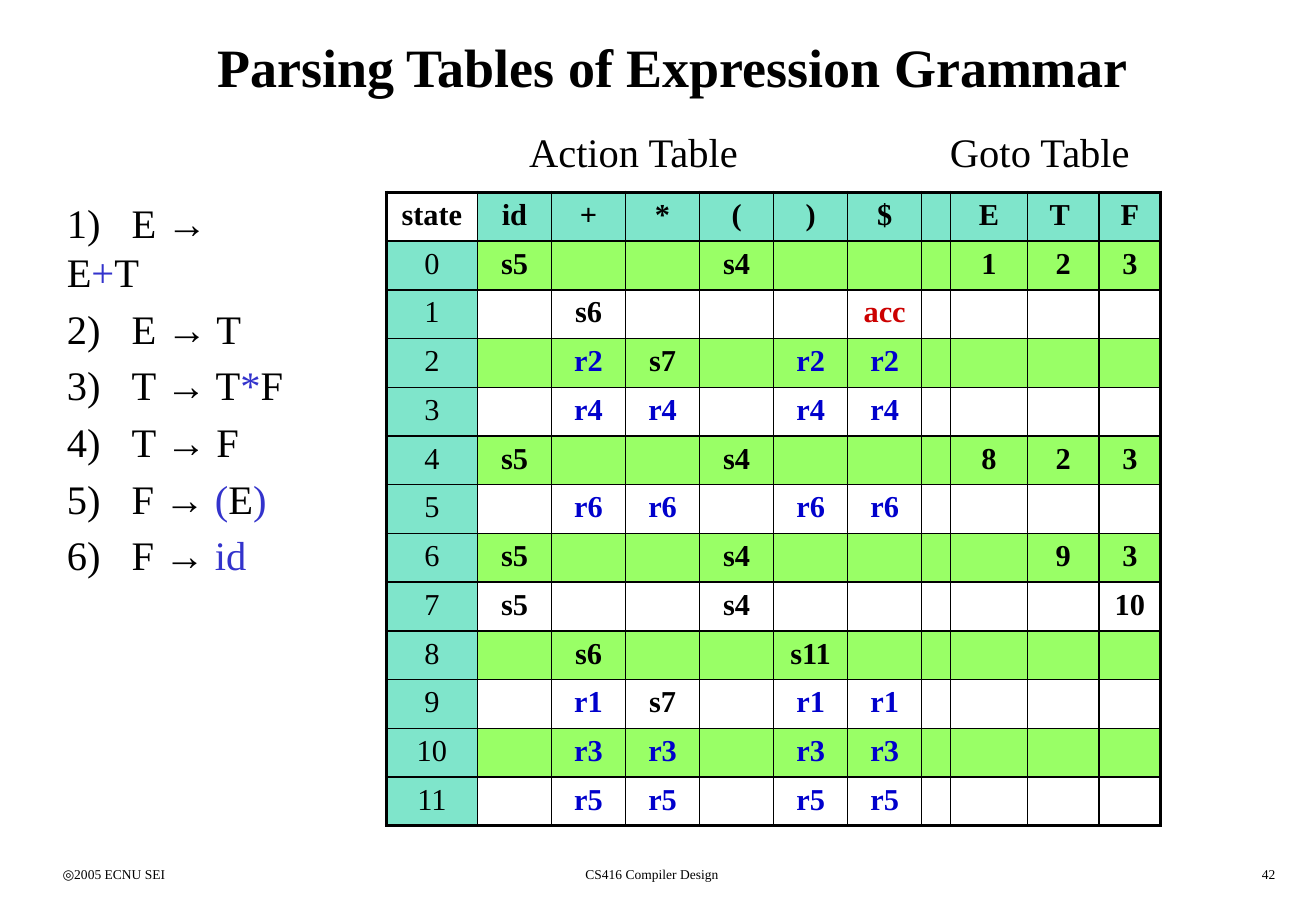
from lxml import etree
from pptx import Presentation, util as u
from pptx.dml import color
from pptx.enum import text
from pptx.oxml import ns

HUES = {"ink": "000000", "sign": "3333CC", "step": "0000CC",
        "done": "CC0000", "head": "00CC99", "band": "99FF66"}
HEAD = ["state", "id", "+", "*", "(", ")", "$", "", "E", "T ", "F"]
WIDTHS = [54] + [43.9] * 6 + [16.9, 45.4, 42.6, 36.4]
MOVES = [
    {"id": "s5", "(": "s4", "E": "1", "T ": "2", "F": "3"},
    {"+": "s6", "$": "acc"},
    {"+": "r2", "*": "s7", ")": "r2", "$": "r2"},
    dict.fromkeys("+*)$", "r4"),
    {"id": "s5", "(": "s4", "E": "8", "T ": "2", "F": "3"},
    dict.fromkeys("+*)$", "r6"),
    {"id": "s5", "(": "s4", "T ": "9", "F": "3"},
    {"id": "s5", "(": "s4", "F": "10"},
    {"+": "s6", ")": "s11"},
    {"+": "r1", "*": "s7", ")": "r1", "$": "r1"},
    dict.fromkeys("+*)$", "r3"),
    dict.fromkeys("+*)$", "r5"),
]
RULES = [
    [("E → E", "ink"), ("+", "sign"), ("T", "ink")],
    [("E → T", "ink")],
    [("T → T", "ink"), ("*", "sign"), ("F", "ink")],
    [("T → F", "ink")],
    [("F → ", "ink"), ("(", "sign"), ("E", "ink"), (")", "sign")],
    [("F →", "ink"), (" id", "sign")],
]


class Deck:
    """Holds the style and the current slide."""

    def __init__(self, wide, high):
        self.file = Presentation()
        self.file.slide_width, self.file.slide_height = u.Pt(wide), u.Pt(high)
        self.slide = self.file.slides.add_slide(self.file.slide_layouts[6])
        self.face = "Times New Roman"

    def run(self, para, words, size, hue="ink", bold=False):
        run = para.add_run()
        run.text = words
        font = run.font
        font.name, font.size, font.bold = self.face, u.Pt(size), bold
        font.color.rgb = color.RGBColor.from_string(HUES[hue])

    def box(self, spot, wrap=True):
        frame = self.slide.shapes.add_textbox(*map(u.Pt, spot)).text_frame
        frame.word_wrap = wrap
        return frame

    def label(self, spot, words, size, align="LEFT", bold=False, wrap=True, mid=False):
        frame = self.box(spot, wrap)
        if mid:
            frame.vertical_anchor = text.MSO_ANCHOR.MIDDLE
        para = frame.paragraphs[0]
        para.alignment = text.PP_ALIGN[align]
        self.run(para, words, size, bold=bold)

    def rules(self, spot, rows, size, tab):
        frame = self.box(spot)
        for num, parts in enumerate(rows, 1):
            para = frame.paragraphs[0] if num == 1 else frame.add_paragraph()
            stops = etree.SubElement(para._p.get_or_add_pPr(), ns.qn("a:tabLst"))
            etree.SubElement(stops, ns.qn("a:tab"), pos=str(u.Pt(tab)), algn="l")
            para.space_before = u.Pt(0 if num == 1 else size / 5)
            self.run(para, f"{num})\t", size)
            for words, hue in parts:
                self.run(para, words, size, hue)

    def edges(self, cell, sizes):
        props = cell._tc.get_or_add_tcPr()
        for spot, (side, size) in enumerate(zip("LRTB", sizes)):
            line = etree.Element(ns.qn(f"a:ln{side}"), w=str(u.Pt(size)))
            fill = etree.SubElement(line, ns.qn("a:solidFill"))
            etree.SubElement(fill, ns.qn("a:srgbClr"), val=HUES["ink"])
            props.insert(spot, line)

    def paint(self, cell, hue):
        if not hue:
            cell.fill.background()
            return
        cell.fill.solid()
        cell.fill.fore_color.rgb = color.RGBColor.from_string(HUES[hue])
        if hue == "head":
            tint = cell._tc.tcPr.find(".//" + ns.qn("a:srgbClr"))
            etree.SubElement(tint, ns.qn("a:alpha"), val="50000")

    def table(self, spot, rows, widths, size):
        last, end = len(rows) - 1, len(widths) - 1
        grid = self.slide.shapes.add_table(last + 1, end + 1, *map(u.Pt, spot)).table
        grid.first_row = grid.horz_banding = False
        for col, wide in zip(grid.columns, widths):
            col.width = u.Pt(wide)
        for y, row in enumerate(rows):
            grid.rows[y].height = u.Pt(spot[3] / len(rows))
            for x, words in enumerate(row):
                cell = grid.cell(y, x)
                top, left = y == 0, x == 0
                hue = "head" if top != left else "band" if y % 2 else None
                self.paint(cell, hue)
                self.edges(cell, [2.25 if rim else 1
                                  for rim in (left, x == end, top, y == last)])
                para = cell.text_frame.paragraphs[0]
                para.alignment = text.PP_ALIGN.CENTER
                para.font.size = u.Pt(size)
                if words:
                    ink = {"r": "step", "a": "done"}.get(words[0], "ink")
                    self.run(para, words, size, ink, bold=top or not left)


def main():
    deck = Deck(780, 540)
    deck.label((30, 510, 163, 18), "◎2005 ECNU SEI", 8)
    deck.label((240.5, 510, 292, 18), "CS416 Compiler Design", 8, "CENTER")
    deck.label((600, 510, 163, 18), "42", 8, "RIGHT")
    deck.label((30, 12, 738, 54), "Parsing Tables of Expression Grammar", 32,
               "CENTER", bold=True, mid=True)
    rows = [HEAD] + [[str(num)] + [move.get(key, "") for key in HEAD[1:]]
                     for num, move in enumerate(MOVES)]
    deck.table((229, 114, sum(WIDTHS), 375.7), rows, WIDTHS, 18)
    for left, wide, words in ((306.5, 140.5, "Action Table"), (556, 123, "Goto Table")):
        deck.label((left, 71.5, wide, 36), words, 24, wrap=False)
    deck.rules((32.5, 114, 144, 209), RULES, 24, 38.5)
    deck.file.save("out.pptx")


if __name__ == "__main__":
    main()
